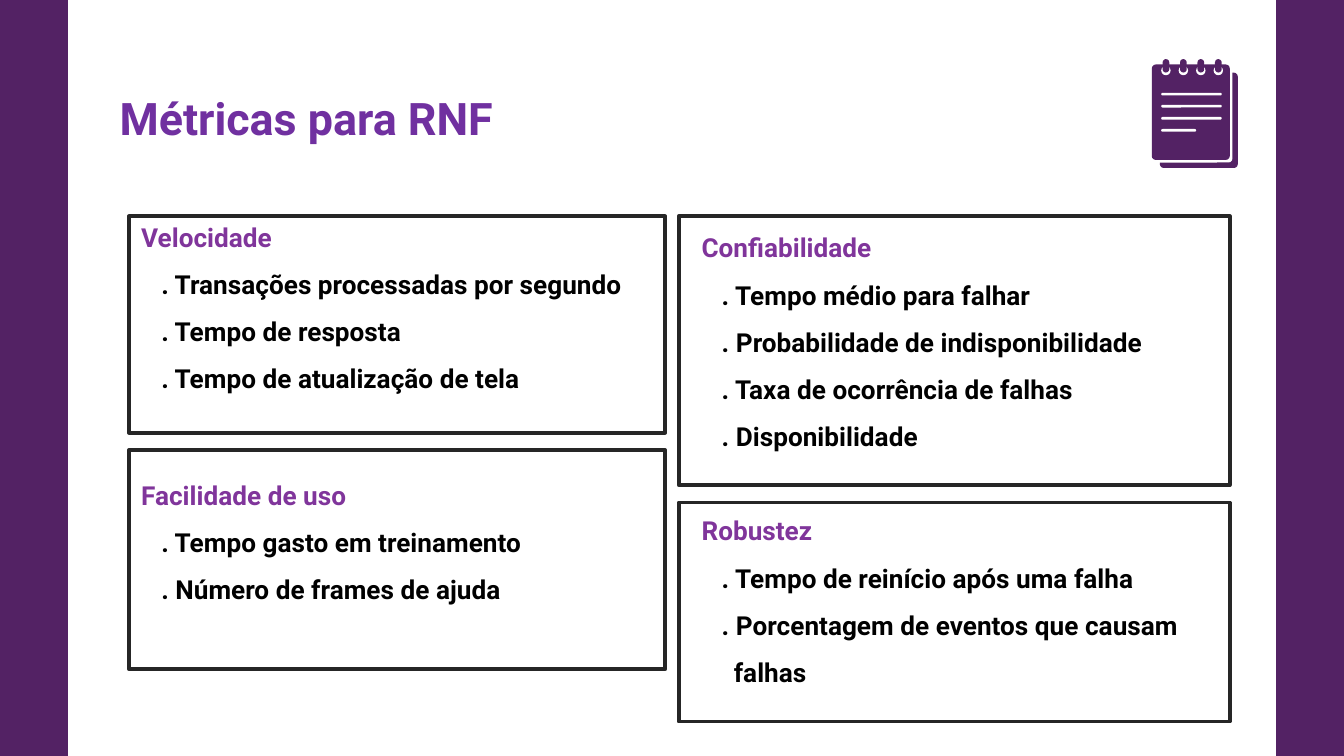
"""Build the slide on metrics for non-functional requirements."""
from dataclasses import dataclass

from lxml import etree
from pptx import Presentation, util as u
from pptx.dml import color
from pptx.enum import shapes, text
from pptx.oxml import ns


@dataclass(frozen=True)
class Theme:
    font: str = "Roboto"
    bar: str = "532264"
    title: str = "7030A0"
    head: str = "80359B"
    ink: str = "000000"
    edge: str = "262626"
    paper: str = "FFFFFF"
    big: int = 24
    small: int = 14
    line: int = 2


THEME = Theme()
WIDE = 10
HIGH = WIDE * 9 / 16
TITLE = "Métricas para RNF"
TOP, GAP, SIDE = 1.61, 0.13, 0.49
STEP, DEEP = 0.15, 0.24

COLS = [
    {
        "left": 0.96, "width": 3.99, "rows": (1.61, 1.63),
        "body": (1.05, 1.61, 3.9, 3.18), "inset": (0, 0), "skip": 43,
        "cards": [
            ("Velocidade", [". Transações processadas por segundo",
                            ". Tempo de resposta",
                            ". Tempo de atualização de tela"]),
            ("Facilidade de uso", [". Tempo gasto em treinamento",
                                   ". Número de frames de ajuda"]),
        ],
    },
    {
        "left": 5.05, "width": 4.1, "rows": (2, 1.63),
        "body": (5.12, 1.64, 4.03, 3.56), "inset": (0.1, 0.05), "skip": 31,
        "cards": [
            ("Confiabilidade", [". Tempo médio para falhar",
                                ". Probabilidade de indisponibilidade",
                                ". Taxa de ocorrência de falhas",
                                ". Disponibilidade"]),
            ("Robustez", [". Tempo de reinício após uma falha",
                          ". Porcentagem de eventos que causam",
                          "falhas"]),
        ],
    },
]


def place(shape, box):
    shape.left, shape.top, shape.width, shape.height = map(u.Inches, box)


def draw(slide, kind, box, fill=None, edge=None, curve=None):
    shape = slide.shapes.add_shape(kind, *map(u.Inches, box))
    shape.shadow.inherit = False
    if curve is not None:
        shape.adjustments[0] = curve
    if fill:
        shape.fill.solid()
        shape.fill.fore_color.rgb = color.RGBColor.from_string(fill)
    else:
        shape.fill.background()
    if edge:
        shape.line.color.rgb = color.RGBColor.from_string(edge)
        shape.line.width = u.Pt(THEME.line)
    else:
        shape.line.fill.background()


def frame(shape, inset, anchor):
    body = shape.text_frame
    body.word_wrap = True
    body.auto_size = text.MSO_AUTO_SIZE.NONE
    body.vertical_anchor = anchor
    body.margin_left = body.margin_right = u.Inches(inset[0])
    body.margin_top = body.margin_bottom = u.Inches(inset[1])
    return body


def write(para, words, size, tint):
    run = para.add_run()
    run.text = words
    run.font.name, run.font.size, run.font.bold = THEME.font, u.Pt(size), True
    run.font.color.rgb = color.RGBColor.from_string(tint)


def format_line(para, indent, before):
    para.alignment = text.PP_ALIGN.JUSTIFY
    para.line_spacing = 1.15
    para.space_before = u.Pt(before)
    props = para._p.get_or_add_pPr()
    props.set("marL", str(u.Inches(indent)))
    props.set("indent", "0")
    etree.SubElement(props, ns.qn("a:buNone"))


def fill_list(shape, col):
    place(shape, col["body"])
    body = frame(shape, col["inset"], text.MSO_ANCHOR.TOP)
    lines = []
    for num, (head, items) in enumerate(col["cards"]):
        lines.append((head, 0, col["skip"] if num else 6, THEME.head))
        for item in items:
            indent = STEP if item.startswith(".") else DEEP
            lines.append((item, indent, 6, THEME.ink))
    for num, (words, indent, before, tint) in enumerate(lines):
        para = body.add_paragraph() if num else body.paragraphs[0]
        format_line(para, indent, before)
        write(para, words, THEME.small, tint)


def draw_cards(slide, col):
    top = TOP
    for high in col["rows"]:
        draw(slide, shapes.MSO_SHAPE.RECTANGLE,
             (col["left"], top, col["width"], high), edge=THEME.edge)
        top += high + GAP


def draw_pad(slide, left, top):
    soft, disc = shapes.MSO_SHAPE.ROUNDED_RECTANGLE, shapes.MSO_SHAPE.OVAL
    wide, high = 0.58, 0.71
    sheets = [(0.06, 0.06, 0, THEME.bar), (0, 0, 0.02, THEME.paper),
              (0, 0, 0, THEME.bar)]
    for right, down, more, fill in sheets:
        draw(slide, soft, (left + right, top + down, wide + more, high + more),
             fill, curve=0.05)
    for num in range(4):
        ring = left + 0.07 + 0.13 * num
        draw(slide, disc, (ring, top + 0.01, 0.07, 0.07), THEME.paper)
        draw(slide, soft, (ring + 0.01, top - 0.04, 0.05, 0.1), THEME.bar,
             curve=0.5)
        draw(slide, soft, (left + 0.07, top + 0.21 + 0.09 * num,
                           0.26 if num == 3 else 0.45, 0.02),
             THEME.paper, curve=0.5)


def main():
    deck = Presentation()
    deck.slide_width, deck.slide_height = u.Inches(WIDE), u.Inches(HIGH)
    slide = deck.slides.add_slide(deck.slide_layouts[3])
    for left in (0, WIDE - SIDE):
        draw(slide, shapes.MSO_SHAPE.RECTANGLE, (left, 0, SIDE, HIGH),
             THEME.bar, THEME.bar)
    draw_pad(slide, 8.57, 0.48)

    title = slide.shapes.title
    place(title, (0.79, 0.55, 6.71, 0.65))
    para = frame(title, (0.1, 0.1), text.MSO_ANCHOR.MIDDLE).paragraphs[0]
    para.alignment = text.PP_ALIGN.LEFT
    write(para, TITLE, THEME.big, THEME.title)

    for num, col in enumerate(COLS, 1):
        fill_list(slide.placeholders[num], col)
        draw_cards(slide, col)
    deck.save("out.pptx")


if __name__ == "__main__":
    main()
